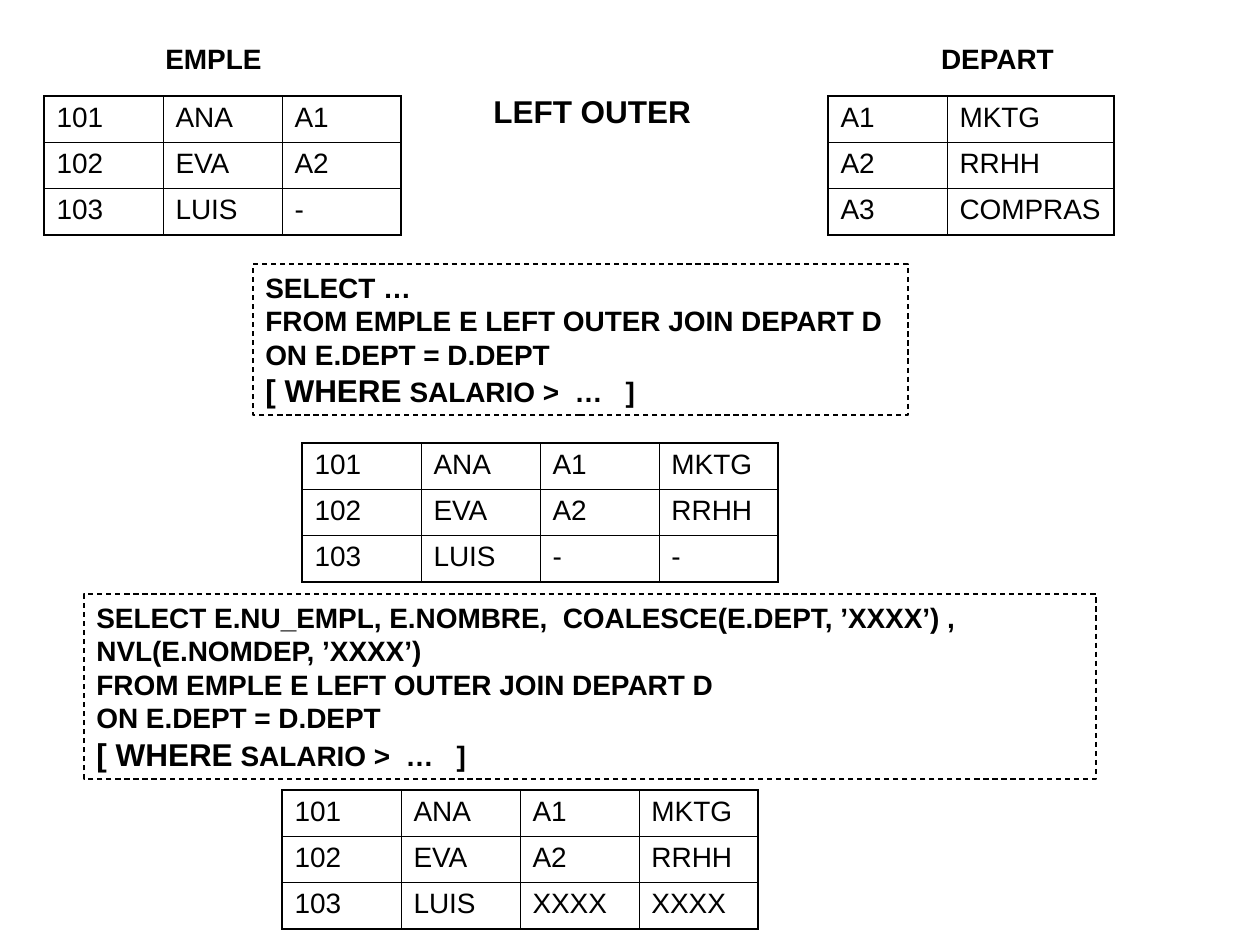
from lxml import etree
from pptx import Presentation, util as u
from pptx.dml import color
from pptx.enum import dml, shapes, text
from pptx.oxml import ns

PX = 914400 / 126
COLORS = {"ink": "000000", "paper": "FFFFFF"}


def px(n):
    return u.Emu(round(n * PX))


class Deck:
    """Holds the style and the current slide, and draws each kind of element."""

    font = "Arial"
    size = 16
    thick, thin = 1.08, 0.45

    def __init__(self, width, height):
        self.prs = Presentation()
        self.prs.slide_width, self.prs.slide_height = px(width), px(height)
        self.s = self.prs.slides.add_slide(self.prs.slide_layouts[6])
        fill = self.s.background.fill
        fill.solid()
        fill.fore_color.rgb = self.color("paper")

    def color(self, name):
        return color.RGBColor.from_string(COLORS[name])

    def style(self, r, size=None, bold=True):
        r.font.name, r.font.size, r.font.bold = self.font, u.Pt(size or self.size), bold
        r.font.color.rgb = self.color("ink")

    def label(self, x, y, w, h, words, size=None, wrap=True):
        tf = self.s.shapes.add_textbox(px(x), px(y), px(w), px(h)).text_frame
        tf.word_wrap = wrap
        tf.auto_size = text.MSO_AUTO_SIZE.SHAPE_TO_FIT_TEXT
        tf.text = words
        p = tf.paragraphs[0]
        p.alignment = text.PP_ALIGN.CENTER if wrap else text.PP_ALIGN.LEFT
        self.style(p.runs[0], size)

    def query(self, x, y, w, h, lines, condition):
        sp = self.s.shapes.add_shape(shapes.MSO_SHAPE.RECTANGLE, px(x), px(y), px(w), px(h))
        sp.shadow.inherit = False
        sp.fill.background()
        sp.line.color.rgb = self.color("ink")
        sp.line.width = u.Pt(0.75)
        sp.line.dash_style = dml.MSO_LINE.DASH
        tf = sp.text_frame
        tf.word_wrap = True
        tf.auto_size = text.MSO_AUTO_SIZE.SHAPE_TO_FIT_TEXT
        tf.vertical_anchor = text.MSO_ANCHOR.TOP
        tf.text = "\n".join(lines + ["[ WHERE"])
        for p in tf.paragraphs:
            p.alignment = text.PP_ALIGN.LEFT
            self.style(p.runs[0])
        p.runs[0].font.size = u.Pt(18)
        r = p.add_run()
        r.text = condition
        self.style(r)

    def borders(self, cell, widths):
        tc_pr = cell._tc.get_or_add_tcPr()
        for side, width in zip("LRTB", widths):
            ln = etree.SubElement(tc_pr, ns.qn(f"a:ln{side}"), w=str(u.Pt(width)))
            fill = etree.SubElement(ln, ns.qn("a:solidFill"))
            etree.SubElement(fill, ns.qn("a:srgbClr"), val=COLORS["ink"])

    def table(self, x, y, cols, rows, row_height=46):
        tbl = self.s.shapes.add_table(len(rows), len(cols), px(x), px(y),
                                      px(sum(cols)), px(row_height * len(rows))).table
        tbl.first_row = tbl.horz_banding = False
        for column, width in zip(tbl.columns, cols):
            column.width = px(width)
        for i, row in enumerate(rows):
            for j, words in enumerate(row):
                cell = tbl.cell(i, j)
                outer = (j == 0, j == len(cols) - 1, i == 0, i == len(rows) - 1)
                self.borders(cell, [self.thick if edge else self.thin for edge in outer])
                cell.fill.background()
                cell.text = words
                p = cell.text_frame.paragraphs[0]
                p.space_before = u.Pt(4)
                self.style(p.runs[0], bold=False)


def main():
    employees = [["101", "ANA", "A1"], ["102", "EVA", "A2"], ["103", "LUIS", "-"]]
    departments = [["A1", "MKTG"], ["A2", "RRHH"], ["A3", "COMPRAS"]]
    matched = [e + d[1:] for e, d in zip(employees[:2], departments)]
    join = ["FROM EMPLE E LEFT OUTER JOIN DEPART D", "ON E.DEPT = D.DEPT"]
    condition = " SALARIO >  …   ]"
    coalesce = "SELECT E.NU_EMPL, E.NOMBRE,  COALESCE(E.DEPT, ’XXXX’) , NVL(E.NOMDEP, ’XXXX’)"
    col = 119

    deck = Deck(1260, 945)
    deck.label(25, 35, 377, 47, "EMPLE")
    deck.table(44, 96, [col] * 3, employees)
    deck.label(809, 35, 377, 47, "DEPART")
    deck.table(828, 96, [col, 167], departments)
    deck.query(253, 264, 655, 151, ["SELECT …"] + join, condition)
    deck.table(302, 443, [col] * 4, matched + [["103", "LUIS", "-", "-"]])
    deck.label(481, 86, 223, 50, "LEFT OUTER", 18, wrap=False)
    deck.query(84, 594, 1012, 185, [coalesce] + join, condition)
    deck.table(282, 790, [col] * 4, matched + [["103", "LUIS", "XXXX", "XXXX"]])
    deck.prs.save("out.pptx")


if __name__ == "__main__":
    main()
